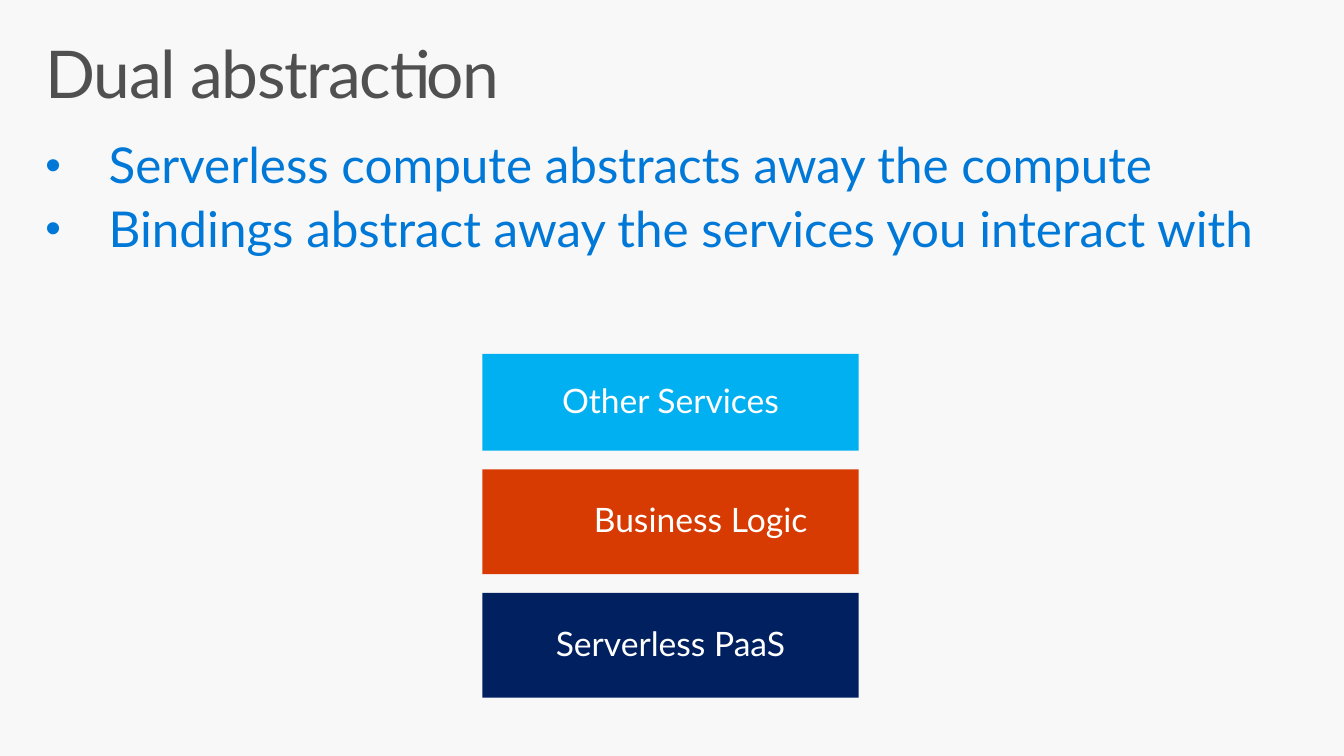
from lxml import etree
from pptx import Presentation
from pptx.dml.color import RGBColor
from pptx.enum import shapes, text
from pptx.oxml.ns import qn
from pptx.util import Inches, Pt

TITLE = "Dual abstraction"
POINTS = [
    "Serverless compute abstracts away the compute",
    "Bindings abstract away the services you interact with",
]
# Label, colour, height, extra left inset (inches)
LAYERS = [
    ("Other Services", "sky", 0.98, 0),
    ("Business Logic", "orange", 1.06, 0.61),
    ("Serverless PaaS", "navy", 1.06, 0),
]
COLORS = {
    "background": "F8F8F8", "title": "505050", "points": "0078D7",
    "sky": "00B0F0", "orange": "D83B01", "navy": "002060", "label": "FFFFFF",
}
FONT = "Lato"
STACK_LEFT, STACK_TOP, STACK_WIDTH, GAP = 4.88, 3.58, 3.81, 0.19


def color(name):
    return RGBColor.from_string(COLORS[name])


def set_frame(frame, anchor, inset_x, inset_y, extra_left=0):
    frame.word_wrap = True
    frame.auto_size = text.MSO_AUTO_SIZE.NONE
    frame.vertical_anchor = anchor
    frame.margin_left = Inches(inset_x + extra_left)
    frame.margin_right = Inches(inset_x)
    frame.margin_top = frame.margin_bottom = Inches(inset_y)


def style(paragraph, size, color_name, align):
    paragraph.alignment = align
    paragraph.line_spacing = 0.9
    paragraph.font.name = FONT
    paragraph.font.size = Pt(size)
    paragraph.font.color.rgb = color(color_name)


def add_bullet(paragraph):
    props = paragraph._p.get_or_add_pPr()
    props.set("marL", str(Inches(0.64)))
    props.set("indent", str(-Inches(0.64)))
    etree.SubElement(props, qn("a:buSzPct")).set("val", "90000")
    etree.SubElement(props, qn("a:buFont")).set("typeface", "Arial")
    etree.SubElement(props, qn("a:buChar")).set("char", "•")


deck = Presentation()
deck.slide_width, deck.slide_height = Inches(13.6), Inches(7.65)
slide = deck.slides.add_slide(deck.slide_layouts[5])
slide.background.fill.solid()
slide.background.fill.fore_color.rgb = color("background")

# Title
title = slide.shapes.title
title.left, title.top = Inches(0.3), Inches(0.32)
title.width, title.height = Inches(13), Inches(1)
title.text_frame.text = TITLE
set_frame(title.text_frame, text.MSO_ANCHOR.TOP, 0.16, 0.1)
heading = title.text_frame.paragraphs[0]
style(heading, 48, "title", text.PP_ALIGN.LEFT)
heading.runs[0]._r.get_or_add_rPr().set("spc", "-100")

# Bulleted points
points = slide.shapes.add_textbox(Inches(0.3), Inches(1.33), Inches(13), Inches(1.41))
set_frame(points.text_frame, text.MSO_ANCHOR.TOP, 0.16, 0.1)
points.text_frame.text = "\n".join(POINTS)
for index, point in enumerate(points.text_frame.paragraphs):
    add_bullet(point)
    style(point, 36, "points", text.PP_ALIGN.LEFT)
    if index:
        point.space_before = Pt(7.2)

# Stack of layers, top to bottom
top = STACK_TOP
for label, fill, height, extra_left in LAYERS:
    layer = slide.shapes.add_shape(
        shapes.MSO_SHAPE.RECTANGLE,
        Inches(STACK_LEFT), Inches(top), Inches(STACK_WIDTH), Inches(height))
    layer.shadow.inherit = False
    layer.fill.solid()
    layer.fill.fore_color.rgb = color(fill)
    layer.line.fill.background()
    layer.text_frame.text = label
    set_frame(layer.text_frame, text.MSO_ANCHOR.MIDDLE, 0.2, 0.16, extra_left)
    style(layer.text_frame.paragraphs[0], 24.5, "label", text.PP_ALIGN.CENTER)
    top += height + GAP

deck.save("out.pptx")
